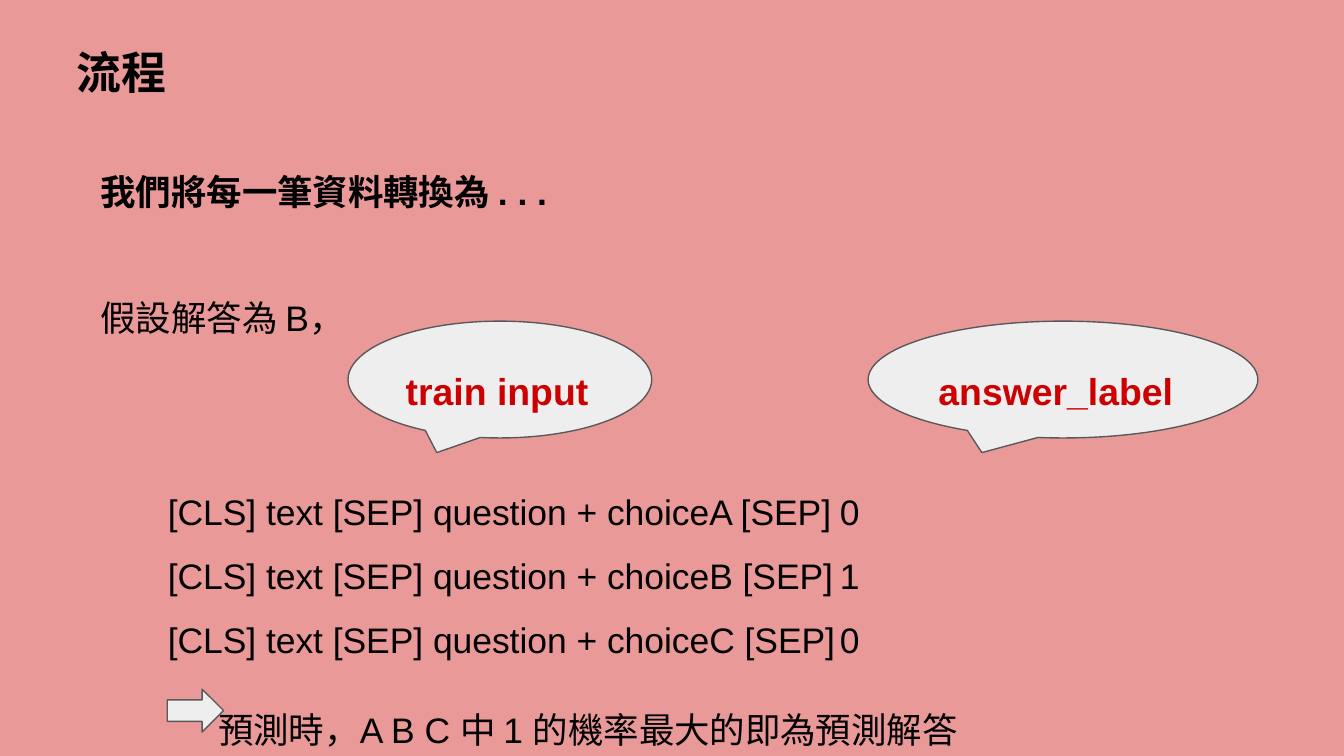
"""Build the slide that explains how each record becomes training input."""
from lxml.etree import SubElement
from pptx import Presentation
from pptx.dml.color import RGBColor as Rgb
from pptx.enum.shapes import MSO_SHAPE as Shape
from pptx.enum.text import MSO_ANCHOR as Anchor, PP_ALIGN as Align
from pptx.oxml.ns import qn
from pptx.util import Pt

COLORS = {"page": "EA9999", "ink": "000000", "accent": "CC0000",
          "bubble": "EEEEEE", "outline": "595959"}
HEADING = "流程"
INTRO = "我們將每一筆資料轉換為 . . ."
ASSUMPTION = "假設解答為 B，"
PREDICTION = "預測時，A B C 中 1 的機率最大的即為預測解答"
ANSWERS = [("A", 0), ("B", 1), ("C", 0)]
CALLOUTS = [("train input", 186.5, 162.7), ("answer_label", 465.1, 208.8)]
CALLOUT_TOP, CALLOUT_HEIGHT = 172.1, 62.6
ROW_INDENT, LABEL_TAB, PREDICTION_INDENT = 36, 568, 63
WIDTH, HEIGHT = 720, 405

BODY = [(INTRO, True, 0, 0), (ASSUMPTION, False, 0, 33)]
BODY += [(f"[CLS] text [SEP] question + choice{choice} [SEP]\t{label}", False,
          ROW_INDENT, 0 if row else 70)
         for row, (choice, label) in enumerate(ANSWERS)]
BODY.append((PREDICTION, False, PREDICTION_INDENT, 14))


def style(target, **values):
    for name, value in values.items():
        setattr(target, name, value)


def write(paragraph, text, size, bold, color="ink", spacing=1.5, before=0):
    style(paragraph, alignment=Align.LEFT, line_spacing=spacing, space_before=Pt(before))
    run = paragraph.add_run()
    run.text = text
    style(run.font, name="Arial", size=Pt(size), bold=bold)
    run.font.color.rgb = Rgb.from_string(COLORS[color])


def frame_of(shape, anchor=Anchor.TOP):
    frame = shape.text_frame
    style(frame, word_wrap=True, vertical_anchor=anchor,
          **{f"margin_{side}": Pt(7.2) for side in ("left", "right", "top", "bottom")})
    return frame


def add_figure(slide, kind, box, fill, outline=None):
    figure = slide.shapes.add_shape(kind, *map(Pt, box))
    figure.shadow.inherit = False
    figure.fill.solid()
    figure.fill.fore_color.rgb = Rgb.from_string(COLORS[fill])
    if outline:
        figure.line.color.rgb = Rgb.from_string(COLORS[outline])
        figure.line.width = Pt(0.75)
    else:
        figure.line.fill.background()
    return figure


def add_text(slide, box):
    return frame_of(slide.shapes.add_textbox(*map(Pt, box)))


def add_body(slide):
    frame = add_text(slide, (46.8, 72.7, 618.5, 330.5))
    for index, (text, bold, indent, before) in enumerate(BODY):
        line = frame.add_paragraph() if index else frame.paragraphs[0]
        write(line, text, 19, bold, before=before)
        properties = line._p.get_or_add_pPr()
        properties.set("marL", "0")
        properties.set("indent", str(Pt(indent)))
        if "\t" in text:
            tabs = SubElement(properties, qn("a:tabLst"))
            SubElement(tabs, qn("a:tab"), pos=str(Pt(LABEL_TAB)), algn="l")


def main():
    deck = Presentation()
    style(deck, slide_width=Pt(WIDTH), slide_height=Pt(HEIGHT))
    slide = deck.slides.add_slide(deck.slide_layouts[6])
    add_figure(slide, Shape.RECTANGLE, (0, 0, WIDTH, HEIGHT), "page")
    heading = add_text(slide, (33.8, 16.6, 246.2, 43.9))
    write(heading.paragraphs[0], HEADING, 24, True, spacing=1)
    add_body(slide)
    for text, left, width in CALLOUTS:
        callout = add_figure(slide, Shape.OVAL_CALLOUT,
                             (left, CALLOUT_TOP, width, CALLOUT_HEIGHT), "bubble", "outline")
        callout.adjustments[0], callout.adjustments[1] = -0.208, 0.625
        write(frame_of(callout, Anchor.MIDDLE).paragraphs[0], text, 20, True, "accent")
    add_figure(slide, Shape.RIGHT_ARROW, (89.6, 369.2, 30.2, 23), "bubble", "outline")
    deck.save("out.pptx")


if __name__ == "__main__":
    main()
